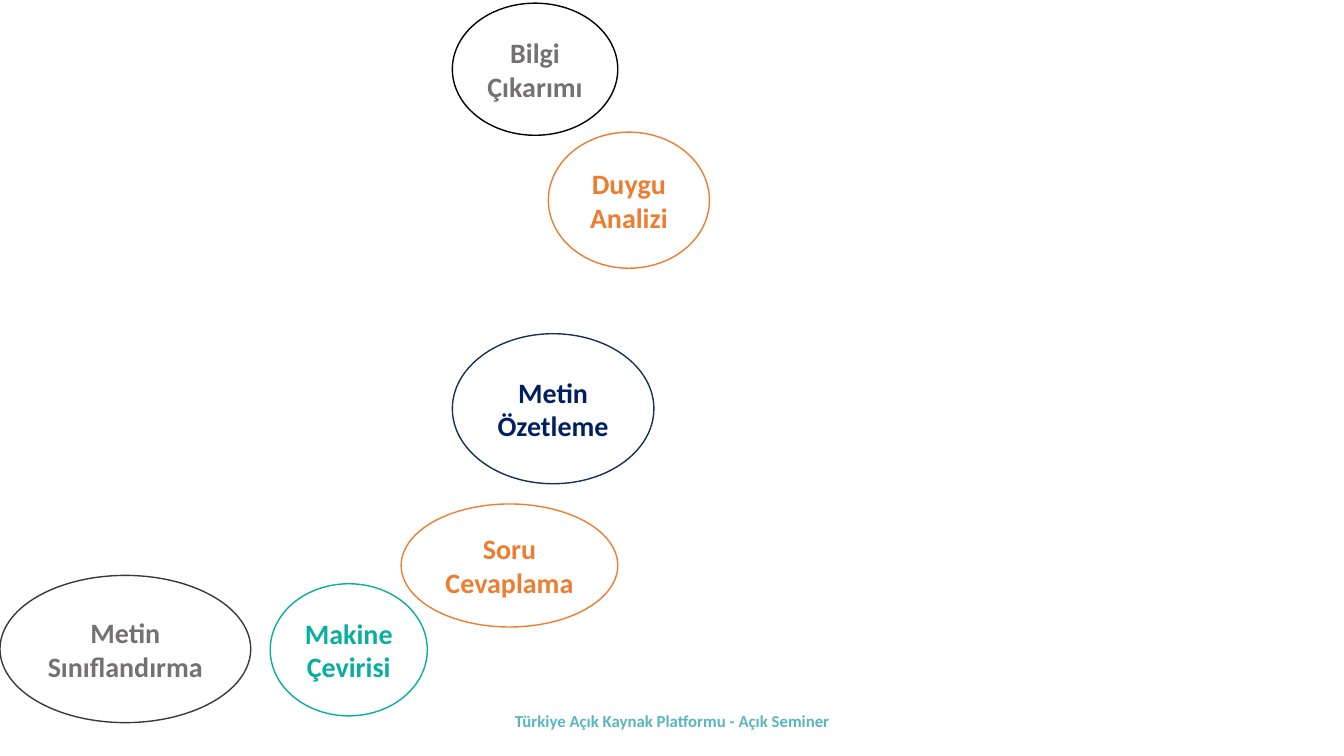
from pptx import Presentation
from pptx.dml.color import RGBColor
from pptx.enum.shapes import MSO_SHAPE as Shape
from pptx.enum.text import MSO_ANCHOR as Anchor, PP_ALIGN as Align
from pptx.util import Cm, Pt


def color(value):
    return RGBColor.from_string(value)


def write(frame, text, size, font_color):
    frame.word_wrap = True
    frame.vertical_anchor = Anchor.MIDDLE
    frame.text = text
    for paragraph in frame.paragraphs:
        paragraph.alignment = Align.CENTER
        paragraph.font.name = "Calibri"
        paragraph.font.size = Pt(size)
        paragraph.font.bold = True
        paragraph.font.color.rgb = color(font_color)


presentation = Presentation()
presentation.slide_width = Cm(33.87)
presentation.slide_height = Cm(19.05)
slide = presentation.slides.add_slide(presentation.slide_layouts[6])

topics = [
    ("Duygu Analizi", 13.82, 3.33, 4.06, 3.43, "ED7D31", "ED7D31"),
    ("Makine Çevirisi", 6.81, 14.71, 3.96, 3.33, "0AAE9F", "0AAE9F"),
    ("Bilgi Çıkarımı", 11.4, 0.08, 4.17, 3.33, "000000", "767171"),
    ("Soru Cevaplama", 10.11, 12.7, 5.46, 3.1, "ED7D31", "ED7D31"),
    ("Metin\nSınıflandırma", 0, 14.5, 6.32, 3.71, "3B3838", "767171"),
    ("Metin Özetleme", 11.4, 8.41, 5.08, 3.78, "163155", "002060"),
]
for label, left, top, width, height, outline, font_color in topics:
    topic = slide.shapes.add_shape(
        Shape.OVAL, Cm(left), Cm(top), Cm(width), Cm(height))
    topic.shadow.inherit = False
    topic.fill.solid()
    topic.fill.fore_color.rgb = color("FFFFFF")
    topic.line.color.rgb = color(outline)
    topic.line.width = Pt(1)
    write(topic.text_frame, label, 20, font_color)

footer = slide.shapes.add_textbox(Cm(11.23), Cm(17.65), Cm(11.43), Cm(1.02))
write(footer.text_frame, "Türkiye Açık Kaynak Platformu - Açık Seminer", 12, "58B6C0")

presentation.save("out.pptx")
